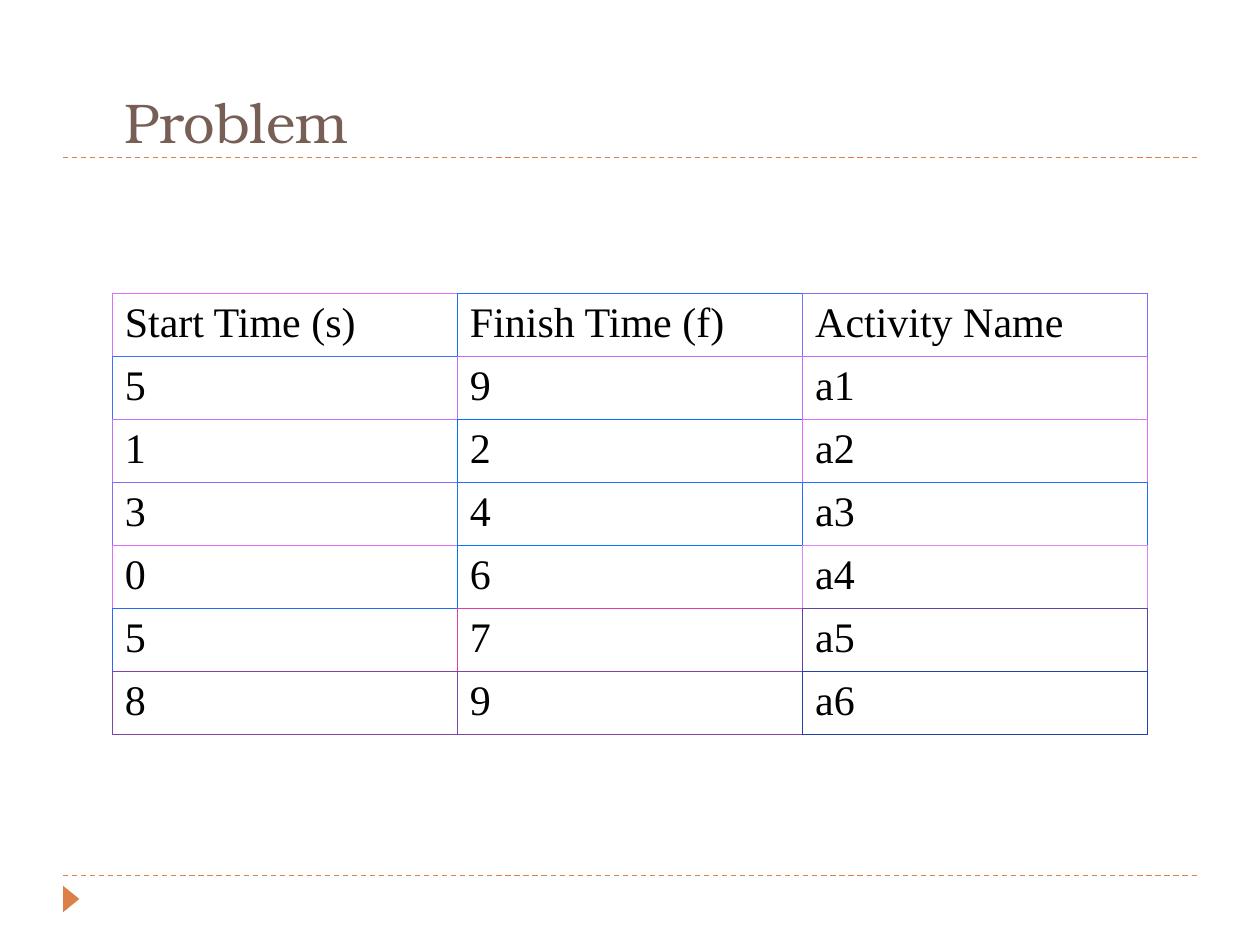
"""Build a slide with an activity selection table."""
import pptx
import pptx.dml.color
import pptx.enum.dml
import pptx.enum.shapes
import pptx.enum.text
import pptx.oxml
import pptx.oxml.ns
import pptx.util

Pt = pptx.util.Pt

TITLE = "Problem"
ROWS = [
    ("Start Time (s)", "Finish Time (f)", "Activity Name"),
    ("5", "9", "a1"),
    ("1", "2", "a2"),
    ("3", "4", "a3"),
    ("0", "6", "a4"),
    ("5", "7", "a5"),
    ("8", "9", "a6"),
]
BORDERS = [
    ("E070F9", "206FF9", "806DF9"),
    ("4072F9", "C06CF9", "C06CF9"),
    ("C072F9", "0071F9", "E06FF9"),
    ("806EF9", "2070F9", "2071F9"),
    ("E06BF9", "0078F9", "E084F9"),
    ("2069F9", "E03EA9", "6040A9"),
    ("8044A9", "8044A9", "2041A9"),
]
COLORS = {"accent": "DD8047", "title": "775F55", "text": "000000", "cell": "FFFFFF"}
RULE_YS = (500.4, 90)
RULE_LEFT, RULE_RIGHT = 36, 684
TABLE_LEFT, TABLE_TOP = 64.08, 167.76
COL_WIDTH, ROW_HEIGHT = 197.28, 28.8


def rgb(name):
    return pptx.dml.color.RGBColor.from_string(COLORS[name])


def set_font(p, name, size, color):
    p.font.name = name
    p.font.size = Pt(size)
    p.font.bold = False
    p.font.color.rgb = rgb(color)


def add_rule(slide, y):
    line = slide.shapes.add_connector(
        pptx.enum.shapes.MSO_CONNECTOR.STRAIGHT, Pt(RULE_LEFT), Pt(y), Pt(RULE_RIGHT), Pt(y))
    line.line.color.rgb = rgb("accent")
    line.line.width = Pt(0.75)
    line.line.dash_style = pptx.enum.dml.MSO_LINE.DASH
    line._element.spPr.append(pptx.oxml.parse_xml(
        f'<a:effectLst {pptx.oxml.ns.nsdecls("a")}/>'))


def set_borders(cell, sides):
    tcPr = cell._tc.get_or_add_tcPr()
    for side, color in sides.items():
        tcPr.append(pptx.oxml.parse_xml(
            f'<a:ln{side} {pptx.oxml.ns.nsdecls("a")} w="{Pt(0.75)}">'
            f'<a:solidFill><a:srgbClr val="{color}"/></a:solidFill></a:ln{side}>'))


def add_table(slide):
    n_rows, n_cols = len(ROWS), len(ROWS[0])
    table = slide.shapes.add_table(
        n_rows, n_cols, Pt(TABLE_LEFT), Pt(TABLE_TOP),
        Pt(COL_WIDTH * n_cols), Pt(ROW_HEIGHT * n_rows)).table
    table.first_row = False
    table.horz_banding = False
    for i, row in enumerate(ROWS):
        for j, text in enumerate(row):
            cell = table.cell(i, j)
            own = BORDERS[i][j]
            right = BORDERS[i][min(j + 1, n_cols - 1)]
            below = BORDERS[min(i + 1, n_rows - 1)][j]
            set_borders(cell, {"L": own, "R": right, "T": own, "B": below})
            cell.fill.solid()
            cell.fill.fore_color.rgb = rgb("cell")
            cell.text = text
            set_font(cell.text_frame.paragraphs[0], "Times New Roman", 24, "text")


def main():
    prs = pptx.Presentation()
    prs.slide_width, prs.slide_height = Pt(720), Pt(540)
    slide = prs.slides.add_slide(prs.slide_layouts[6])

    for y in RULE_YS:
        add_rule(slide, y)

    sp = slide.shapes.add_shape(
        pptx.enum.shapes.MSO_SHAPE.ISOSCELES_TRIANGLE,
        Pt(33.12), Pt(509.04), Pt(15.12), Pt(9.36))
    sp.rotation = 90
    sp.shadow.inherit = False
    sp.fill.solid()
    sp.fill.fore_color.rgb = rgb("accent")
    sp.line.fill.background()

    tf = slide.shapes.add_textbox(Pt(64.08), Pt(2.16), Pt(612), Pt(90)).text_frame
    tf.word_wrap = True
    tf.vertical_anchor = pptx.enum.text.MSO_ANCHOR.BOTTOM
    tf.text = TITLE
    set_font(tf.paragraphs[0], "TeX Gyre Bonum", 32, "title")

    add_table(slide)
    prs.save("out.pptx")


if __name__ == "__main__":
    main()
